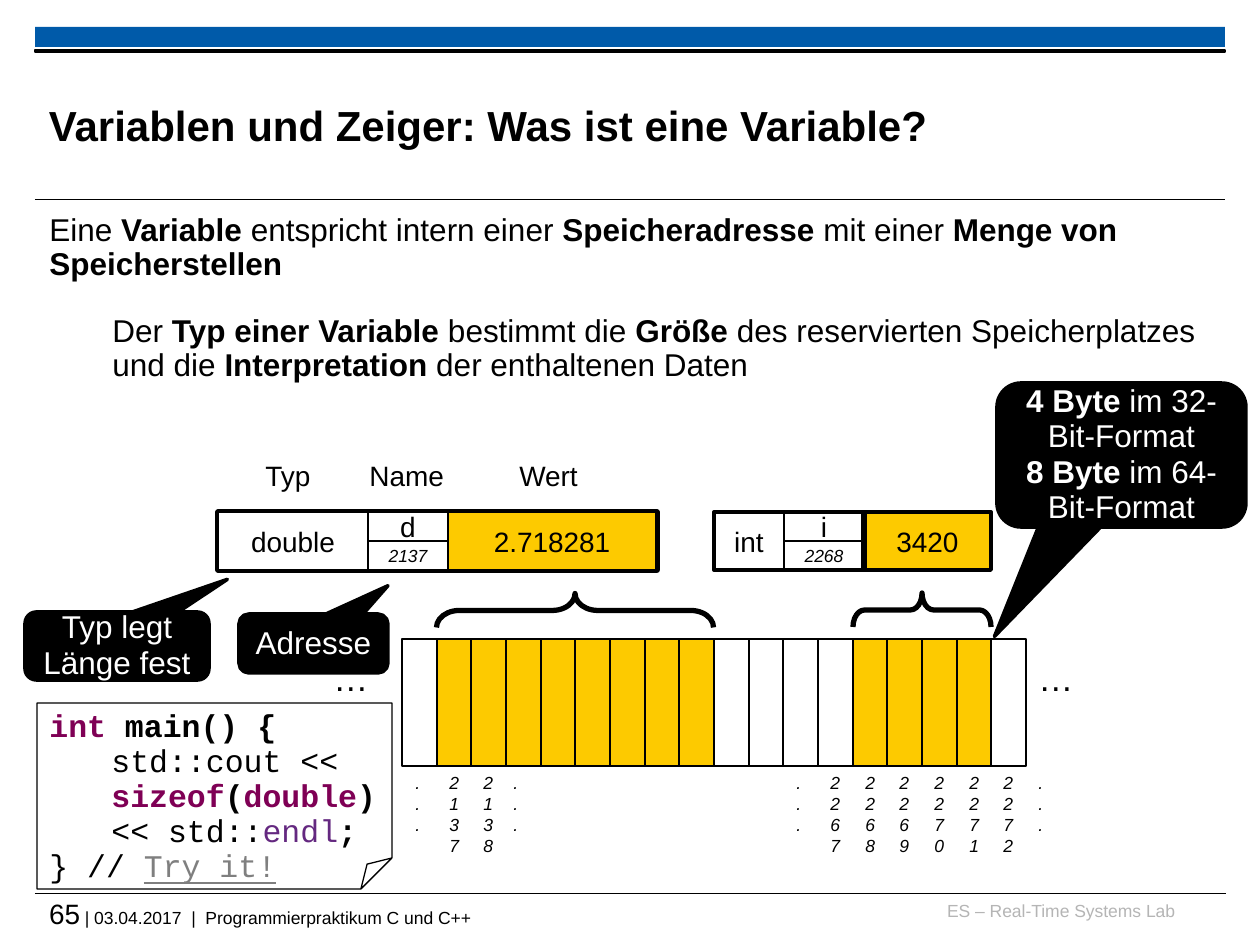
from dataclasses import dataclass
from typing import Optional

from lxml.etree import SubElement
from pptx import Presentation
from pptx.dml.color import RGBColor
from pptx.enum.shapes import MSO_CONNECTOR, MSO_SHAPE
from pptx.enum.text import MSO_ANCHOR, PP_ALIGN
from pptx.oxml.ns import qn
from pptx.util import Pt

SCALE = 914400 / 126
COLORS = {
    "black": "000000", "white": "FFFFFF", "blue": "005AA9", "yellow": "FDCA00",
    "pale": "B5B5B5", "gray": "7F7F7F", "keyword": "7F0055", "member": "642880",
}
CELL_COUNT, MEMORY_LEFT, MEMORY_TOP, MEMORY_WIDTH, MEMORY_HEIGHT = 18, 402, 639, 624, 127


@dataclass(frozen=True)
class Run:
    text: str
    bold: bool = False
    color: str = "black"
    size: int = 18
    font: str = "Arial"
    italic: bool = False
    underline: bool = False


@dataclass(frozen=True)
class Line:
    runs: tuple
    align: PP_ALIGN = PP_ALIGN.LEFT
    spacing: float = 1.0
    before: int = 0
    indent: int = 0


@dataclass(frozen=True)
class Box:
    left: int
    top: int
    width: int
    height: int


@dataclass(frozen=True)
class Label:
    box: Box
    text: str
    size: int = 16


@dataclass(frozen=True)
class Field:
    box: Box
    text: str
    fill: str = "white"
    border: float = 0.75
    size: int = 16
    italic: bool = False


@dataclass(frozen=True)
class Callout:
    box: Box
    tip_x: float
    tip_y: float
    lines: tuple


@dataclass(frozen=True)
class Brace:
    first: int
    count: int
    curve: float


def emu(px: int) -> int:
    return round(px * SCALE)


def color(name: str) -> RGBColor:
    return RGBColor.from_string(COLORS[name])


def place(box: Box) -> tuple:
    return emu(box.left), emu(box.top), emu(box.width), emu(box.height)


def cell_left(index: int) -> int:
    return MEMORY_LEFT + round(index * MEMORY_WIDTH / CELL_COUNT)


def write(shape, lines: tuple, wrap: bool = True, anchor=MSO_ANCHOR.TOP, inset: bool = True) -> None:
    frame = shape.text_frame
    frame.word_wrap = wrap
    frame.vertical_anchor = anchor
    if not inset:
        frame.margin_left = frame.margin_right = frame.margin_top = frame.margin_bottom = 0
    for number, line in enumerate(lines):
        paragraph = frame.add_paragraph() if number else frame.paragraphs[0]
        paragraph.alignment = line.align
        paragraph.line_spacing = line.spacing
        if line.before:
            paragraph.space_before = Pt(line.before)
        if line.indent:
            paragraph._p.get_or_add_pPr().set("marL", str(emu(line.indent)))
        for item in line.runs:
            run = paragraph.add_run()
            run.text = item.text
            font = run.font
            font.name, font.size, font.bold = item.font, Pt(item.size), item.bold
            font.italic, font.underline = item.italic, item.underline
            font.color.rgb = color(item.color)


def add_text(slide, box: Box, lines: tuple, **options) -> None:
    write(slide.shapes.add_textbox(*place(box)), lines, **options)


def add_shape(slide, kind, box: Box, fill: Optional[str], border: float):
    shape = slide.shapes.add_shape(kind, *place(box))
    shape.shadow.inherit = False
    if fill:
        shape.fill.solid()
        shape.fill.fore_color.rgb = color(fill)
    else:
        shape.fill.background()
    if border:
        shape.line.color.rgb = color("black")
        shape.line.width = Pt(border)
    else:
        shape.line.fill.background()
    return shape


def add_line(slide, x1: int, y1: int, x2: int, y2: int, width: float) -> None:
    connector = slide.shapes.add_connector(MSO_CONNECTOR.STRAIGHT, emu(x1), emu(y1), emu(x2), emu(y2))
    connector.line.color.rgb = color("black")
    connector.line.width = Pt(width)
    SubElement(connector._element.spPr, qn("a:effectLst"))


def add_field(slide, field: Field) -> None:
    shape = add_shape(slide, MSO_SHAPE.RECTANGLE, field.box, field.fill, field.border)
    run = Run(field.text, size=field.size, italic=field.italic)
    write(shape, (Line((run,), PP_ALIGN.CENTER),), wrap=False, anchor=MSO_ANCHOR.MIDDLE)


def add_callout(slide, callout: Callout) -> None:
    shape = add_shape(slide, MSO_SHAPE.ROUNDED_RECTANGULAR_CALLOUT, callout.box, "black", 2)
    shape.adjustments[0], shape.adjustments[1] = callout.tip_x, callout.tip_y
    lines = tuple(Line(runs, PP_ALIGN.CENTER, 0.93) for runs in callout.lines)
    write(shape, lines, anchor=MSO_ANCHOR.MIDDLE)


def add_brace(slide, brace: Brace) -> None:
    left, right = cell_left(brace.first), cell_left(brace.first + brace.count)
    length, depth, middle = right - left, 34, 610
    box = Box((left + right - depth) // 2, middle - length // 2, depth, length)
    shape = add_shape(slide, MSO_SHAPE.LEFT_BRACE, box, None, 3)
    shape.adjustments[0] = brace.curve
    shape.rotation = 90


def add_column(slide, left: int, symbols: str) -> None:
    lines = tuple(Line((Run(symbol, size=10, italic=True),)) for symbol in symbols)
    add_text(slide, Box(left, 766, 35, 97), lines, wrap=False)


def code(text: str, bold: bool = False, shade: str = "black", underline: bool = False) -> Run:
    return Run(text, bold, shade, font="Courier New", underline=underline)


def white(text: str, bold: bool = False) -> Run:
    return Run(text, bold, "white")


FIELDS = (
    Field(Box(714, 512, 70, 58), "int"),
    Field(Box(864, 512, 127, 58), "3420", "yellow", 0.25),
    Field(Box(368, 512, 80, 29), "d"),
    Field(Box(218, 512, 150, 58), "double"),
    Field(Box(448, 512, 208, 58), "2.718281", "yellow", 1),
    Field(Box(368, 541, 80, 29), "2137", size=10, italic=True),
    Field(Box(784, 541, 80, 29), "2268", size=10, italic=True),
    Field(Box(784, 512, 80, 29), "i"),
)
BRACES = (Brace(1, 8, 0.67), Brace(13, 4, 0.34))
LABELS = (
    Label(Box(253, 452, 84, 54), "Typ"), Label(Box(357, 452, 118, 54), "Name"),
    Label(Box(507, 452, 99, 54), "Wert"),
    Label(Box(321, 650, 71, 64), "…", 20), Label(Box(1026, 650, 71, 64), "…", 20),
)
ADDRESSES = {1: 2137, 2: 2138, **{index: 2255 + index for index in range(12, 18)}}
DOT_LEFTS = (403, 501, 784, 1026)
CALLOUTS = (
    Callout(Box(997, 383, 249, 144), -0.51, 1.26,
            ((white("4 Byte ", True), white("im 32-Bit-Format")),
             (white("8 Byte ", True), white("im 64-Bit-Format")))),
    Callout(Box(239, 614, 149, 59), 0.5, -0.98, ((white("Adresse"),),)),
    Callout(Box(25, 612, 184, 68), 0.6, -0.98, ((white("Typ legt Länge fest"),),)),
)
EXPLANATION = (
    Line((Run("Eine "), Run("Variable ", True), Run("entspricht intern einer "),
          Run("Speicheradresse", True), Run(" mit einer "),
          Run("Menge von Speicherstellen", True)), spacing=0.9),
    Line((Run("Der "), Run("Typ einer Variable ", True), Run("bestimmt die "), Run("Größe", True),
          Run(" des reservierten Speicherplatzes und die "), Run("Interpretation", True),
          Run(" der enthaltenen Daten")), spacing=0.9, before=19, indent=63),
)
PROGRAM = (
    (0, (code("int ", True, "keyword"), code("main() {", True))),
    (62, (code("std::cout <<"),)),
    (62, (code("sizeof", True, "keyword"), code("(", True), code("double", True, "keyword"), code(")", True))),
    (62, (code("<< std::"), code("endl", shade="member"), code(";", True))),
    (0, (code("} // "), code("Try it!", shade="gray", underline=True))),
)


def add_frame(slide) -> None:
    add_line(slide, 35, 894, 1226, 894, 0.6)
    add_shape(slide, MSO_SHAPE.RECTANGLE, Box(35, 27, 1190, 20), "blue", 0)
    add_line(slide, 35, 200, 1225, 200, 0.6)
    add_shape(slide, MSO_SHAPE.RECTANGLE, Box(35, 50, 1190, 2), "black", 0.75)
    lab = Run("ES – Real-Time Systems Lab", color="pale", size=10)
    add_text(slide, Box(927, 900, 248, 32), (Line((lab,), PP_ALIGN.RIGHT),), inset=False)
    footer = (Run("65", size=16), Run(" | 03.04.2017  |  Programmierpraktikum C und C++", size=10))
    add_text(slide, Box(49, 897, 1176, 42), (Line(footer),), inset=False)
    title = Run("Variablen und Zeiger: Was ist eine Variable?", True, size=24)
    add_text(slide, Box(49, 67, 948, 116), (Line((title,)),), anchor=MSO_ANCHOR.MIDDLE, inset=False)


def main() -> None:
    presentation = Presentation()
    presentation.slide_width, presentation.slide_height = emu(1260), emu(945)
    slide = presentation.slides.add_slide(presentation.slide_layouts[6])
    add_frame(slide)
    add_shape(slide, MSO_SHAPE.RECTANGLE, Box(218, 512, 439, 58), "yellow", 3)
    used = {index for brace in BRACES for index in range(brace.first, brace.first + brace.count)}
    for index in range(CELL_COUNT):
        left = cell_left(index)
        box = Box(left, MEMORY_TOP, cell_left(index + 1) - left, MEMORY_HEIGHT)
        add_shape(slide, MSO_SHAPE.RECTANGLE, box, "yellow" if index in used else "white", 0.75)
    for label in LABELS:
        add_text(slide, label.box, (Line((Run(label.text, size=label.size),)),), wrap=False)
    for brace in BRACES:
        add_brace(slide, brace)
    for index, address in ADDRESSES.items():
        add_column(slide, cell_left(index), str(address))
    for left in DOT_LEFTS:
        add_column(slide, left, "...")
    for field in FIELDS:
        add_field(slide, field)
    add_line(slide, 864, 512, 864, 570, 3)
    add_shape(slide, MSO_SHAPE.RECTANGLE, Box(714, 512, 277, 58), None, 2.25)
    add_text(slide, Box(37, 208, 1188, 220), EXPLANATION)
    for callout in CALLOUTS:
        add_callout(slide, callout)
    note = add_shape(slide, MSO_SHAPE.FOLDED_CORNER, Box(37, 703, 355, 186), None, 0.75)
    write(note, tuple(Line(runs, spacing=0.93, indent=indent) for indent, runs in PROGRAM))
    presentation.save("out.pptx")


if __name__ == "__main__":
    main()
